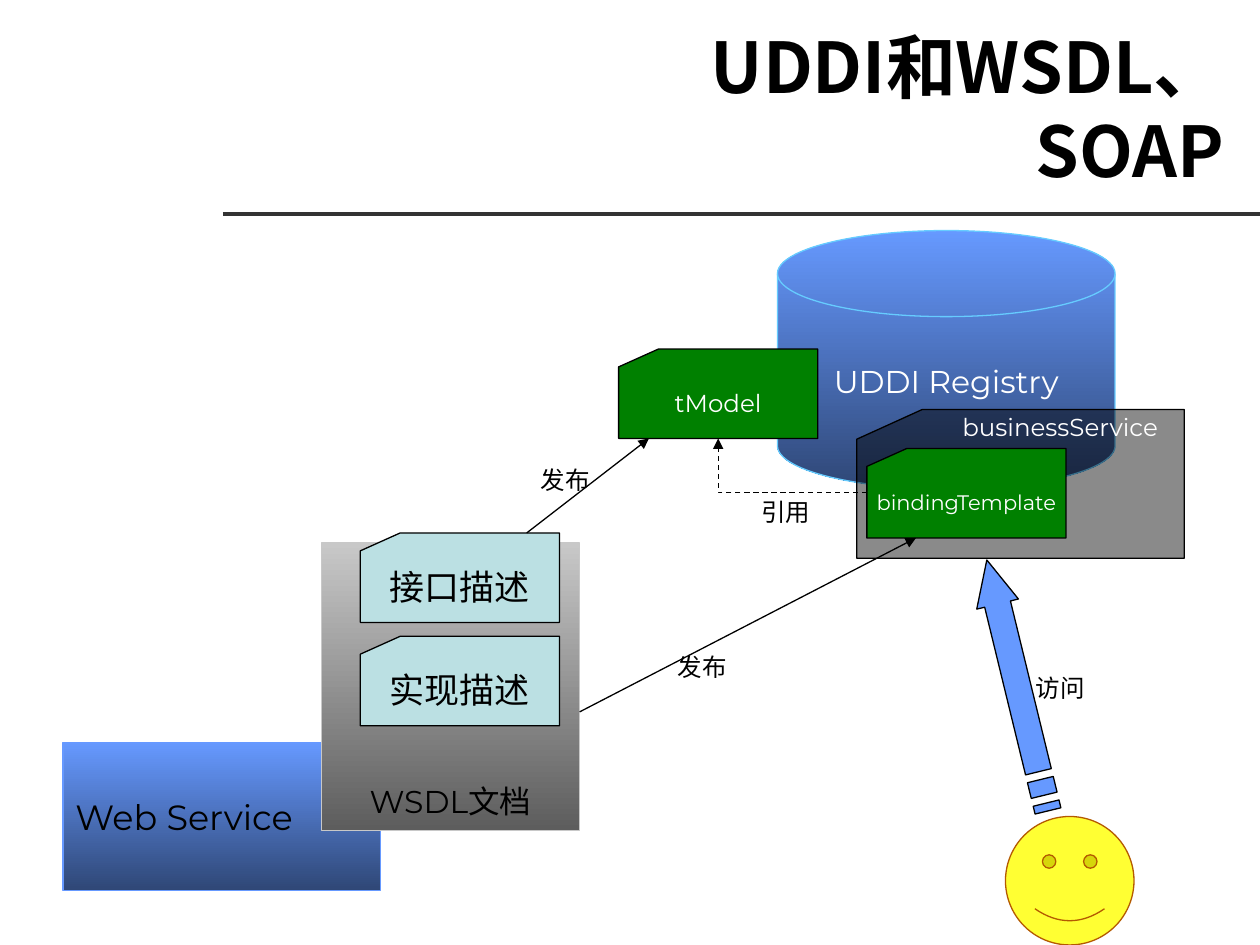
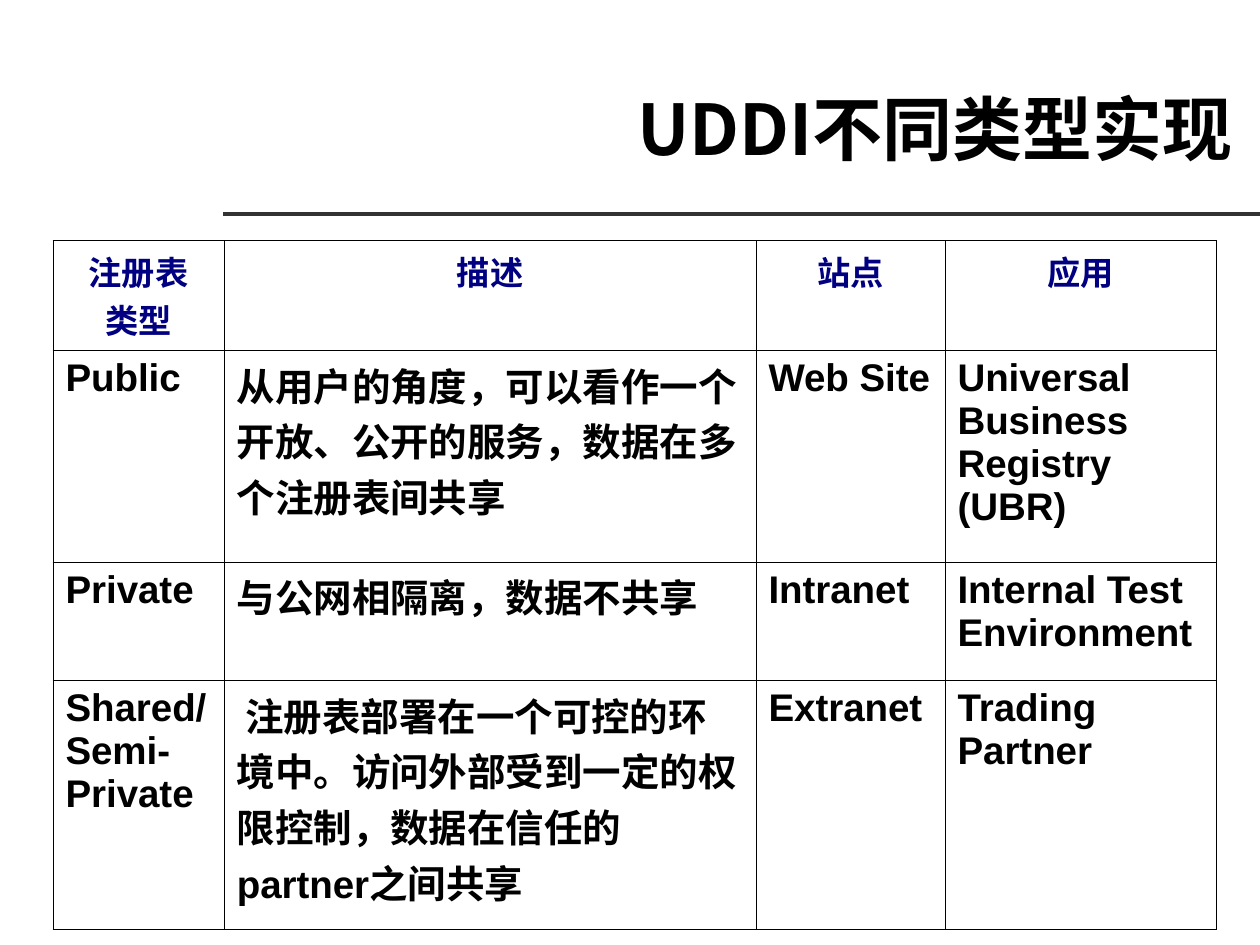
from lxml import etree
from pptx import Presentation
from pptx.dml.color import RGBColor
from pptx.enum.dml import MSO_LINE
from pptx.enum.shapes import MSO_CONNECTOR, MSO_SHAPE
from pptx.enum.text import MSO_ANCHOR, PP_ALIGN
from pptx.oxml.ns import qn
from pptx.util import Inches, Pt

RECT = MSO_SHAPE.RECTANGLE
CARD = MSO_SHAPE.FLOWCHART_CARD
DISK = MSO_SHAPE.FLOWCHART_MAGNETIC_DISK
SMILE = MSO_SHAPE.SMILEY_FACE
STRAIGHT, ELBOW = MSO_CONNECTOR.STRAIGHT, MSO_CONNECTOR.ELBOW
DASH = MSO_LINE.DASH
LEFT, MID, RIGHT = PP_ALIGN.LEFT, PP_ALIGN.CENTER, PP_ALIGN.RIGHT
CENTER, BOTTOM, TOP = MSO_ANCHOR.MIDDLE, MSO_ANCHOR.BOTTOM, MSO_ANCHOR.TOP

HEX = {
    "black": "000000", "white": "FFFFFF", "rule": "333333",
    "blue": "6699FF", "deep": "2F4776", "sky": "66CCFF",
    "silver": "C8C8C8", "grey": "5D5D5D", "ice": "BBE0E3",
    "green": "008000", "yellow": "FFFF00", "brown": "B45A00",
    "navy": "000081",
}
CJK = "Noto Sans CJK SC"
BODY = "Montserrat"
CARD_W, CARD_H = 1.58, 0.71

HEADS = ["注册表\n类型", "描述", "站点", "应用"]
ROWS = [
    ["Public", "从用户的角度，可以看作一个开放、公开的服务，数据在多个注册表间共享",
     "Web Site", "Universal Business\nRegistry (UBR)"],
    ["Private", "与公网相隔离，数据不共享", "Intranet", "Internal Test\nEnvironment"],
    ["Shared/\nSemi-Private",
     " 注册表部署在一个可控的环境中。访问外部受到一定的权限控制，数据在信任的partner之间共享",
     "Extranet", "Trading Partner"],
]


def rgb(name):
    """Return the named colour."""
    return RGBColor.from_string(HEX[name])


def put(item, **vals):
    """Set each given value on the item."""
    for key, val in vals.items():
        setattr(item, key, val)


def write(frame, text, size, color="black", face=BODY, bold=False, align=MID):
    """Write one paragraph per line of text in one style."""
    frame.text = text
    for para in frame.paragraphs:
        para.alignment = align
        for run in para.runs:
            put(run.font, size=Pt(size), name=face, bold=bold)
            run.font.color.rgb = rgb(color)
            east = etree.SubElement(run.font._element, qn("a:ea"))
            east.set("typeface", CJK)


def label(slide, box, text, size=14, pad=0, **style):
    """Add a text box centred on its height."""
    frame = slide.shapes.add_textbox(*map(Inches, box)).text_frame
    put(frame, word_wrap=True, vertical_anchor=CENTER,
        margin_left=Inches(pad), margin_right=Inches(pad))
    write(frame, text, size, **style)


def paint(shape, fill, line, alpha=None):
    """Give a shape a plain, clear or graded fill and a thin line."""
    shape.shadow.inherit = False
    if isinstance(fill, tuple):
        shape.fill.gradient()
        shape.fill.gradient_angle = 270
        for stop, name in zip(shape.fill.gradient_stops, fill):
            stop.color.rgb = rgb(name)
    else:
        shape.fill.solid()
        shape.fill.fore_color.rgb = rgb(fill)
    if alpha:
        tint = shape._element.spPr.find(".//" + qn("a:srgbClr"))
        etree.SubElement(tint, qn("a:alpha")).set("val", str(alpha * 1000))
    shape.line.color.rgb = rgb(line)
    shape.line.width = Pt(0.75)


def block(slide, kind, box, fill, line="black", text="", size=18,
          anchor=CENTER, foot=0.05, alpha=None, **style):
    """Add a filled preset shape with its text."""
    shape = slide.shapes.add_shape(kind, *map(Inches, box))
    paint(shape, fill, line, alpha)
    if text:
        put(shape.text_frame, word_wrap=False, vertical_anchor=anchor,
            margin_bottom=Inches(foot))
        write(shape.text_frame, text, size, **style)


def join(slide, start, end, kind=STRAIGHT, color="black", width=0.75, arrow=True):
    """Add a line, with an arrowhead at its end if asked."""
    link = slide.shapes.add_connector(kind, *map(Inches, start + end))
    link.line.color.rgb = rgb(color)
    link.line.width = Pt(width)
    props = link._element.spPr
    if arrow:
        tip = etree.SubElement(props.find(qn("a:ln")), qn("a:tailEnd"))
        tip.set("type", "triangle")
    etree.SubElement(props, qn("a:effectLst"))
    return link


def bend(slide, x, y, w, h):
    """Add a dashed arrow that runs left along the box and then up."""
    link = join(slide, (x, y), (x + w, y + h), ELBOW)
    link.line.dash_style = DASH
    props = link._element.spPr
    props.find(qn("a:xfrm")).set("rot", "10800000")
    props.find(qn("a:prstGeom")).set("prst", "bentConnector2")


def head(slide, box, text):
    """Add the rule and the title that every slide has."""
    join(slide, (1.77, 1.7), (10, 1.7), color="rule", width=2.25, arrow=False)
    label(slide, box, text, 40, pad=0.1, face=CJK, bold=True, align=RIGHT)


def docs(slide, x, y):
    """Draw the service and its document with two cards."""
    block(slide, RECT, (x, y + 1.58, 2.52, 1.18), ("blue", "deep"), "blue",
          "Web Service", 20, align=LEFT)
    block(slide, RECT, (x + 2.05, y, 2.05, 2.28), ("silver", "grey"), "silver",
          "WSDL文档", anchor=BOTTOM, foot=0.08)
    for row, text in enumerate(["接口描述", "实现描述"]):
        block(slide, CARD, (x + 2.36, y - 0.08 + row * 0.82, CARD_W, CARD_H),
              "ice", text=text, size=20)


def store(slide, x, y):
    """Draw the registry and its model card."""
    block(slide, DISK, (x + 1.26, y, 2.68, 2.05), ("blue", "deep"), "sky",
          "UDDI Registry", color="white")
    block(slide, CARD, (x, y + 0.94, CARD_W, CARD_H), "green",
          text="tModel", size=14, color="white")


def arrow(slide, x, y, w, h, turn):
    """Draw a striped arrow, turned about its centre."""
    unit, neck, low, high = w / 32, w - 0.36, 0.19 * h, 0.81 * h
    bars = [[(a * unit, low), (b * unit, low), (b * unit, high), (a * unit, high)]
            for a, b in ((0, 1), (2, 4))]
    body = [(5 * unit, low), (neck, low), (neck, 0), (w, h / 2),
            (neck, h), (neck, high), (5 * unit, high)]
    parts = [[(Inches(a), Inches(b)) for a, b in part] for part in [body] + bars]
    pen = slide.shapes.build_freeform(*parts[0][0])
    for num, part in enumerate(parts):
        if num:
            pen.move_to(*part[0])
        pen.add_line_segments(part[1:], close=True)
    shape = pen.convert_to_shape(Inches(x), Inches(y))
    paint(shape, "blue", "black")
    shape.rotation = turn


def user(slide, x, y):
    """Draw the user and the arrow that leads up to the service."""
    block(slide, SMILE, (x, y, 1.02, 1.02), "yellow", "brown", alpha=80)
    arrow(slide, x - 0.93, y - 1.21, 2.05, 0.34, 256.3)
    label(slide, (x + 0.16, y - 1.26, 0.55, 0.47), "访问")


def offer(slide, x, y):
    """Draw the clear service card with its template card."""
    block(slide, CARD, (x, y, 2.6, 1.18), "black", alpha=46)
    block(slide, CARD, (x + 0.08, y + 0.31, CARD_W, CARD_H), "green",
          text="bindingTemplate", size=12, color="white")
    label(slide, (x + 0.75, y - 0.06, 1.73, 0.39), "businessService", color="white")


def grid(slide, x, y, w, h):
    """Add the table of registry types."""
    table = slide.shapes.add_table(4, 4, *map(Inches, (x, y, w, h))).table
    put(table, first_row=False, horz_banding=False)
    for col, width in zip(table.columns, (1.36, 4.22, 1.5, 2.15)):
        col.width = Inches(width)
    for row, tall in zip(table.rows, (0.87, 1.68, 0.94, 1.98)):
        row.height = Inches(tall)
    for r, texts in enumerate([HEADS] + ROWS):
        size, color, align = (22, "black", LEFT) if r else (19, "navy", MID)
        for c, text in enumerate(texts):
            cell = table.cell(r, c)
            cell.vertical_anchor = TOP
            write(cell.text_frame, text, size, color, "Arial", True, align)
            cell.fill.background()
            edge(cell)


def edge(cell):
    """Give a cell thin black borders."""
    props = cell._tc.get_or_add_tcPr()
    for spot, side in enumerate("LRTB"):
        line = etree.Element(qn("a:ln" + side), w=str(Pt(0.45)))
        fill = etree.SubElement(line, qn("a:solidFill"))
        etree.SubElement(fill, qn("a:srgbClr")).set("val", HEX["black"])
        props.insert(spot, line)


def main():
    """Build both slides and save them."""
    deck = Presentation()
    put(deck, slide_width=Inches(10), slide_height=Inches(7.5))
    blank = deck.slide_layouts[6]

    flow = deck.slides.add_slide(blank)
    head(flow, (4.37, 0.5, 5.44, 0.7), "UDDI和WSDL、SOAP")
    docs(flow, 0.5, 4.31)
    store(flow, 4.91, 1.83)
    bend(flow, 5.7, 3.48, 1.18, 0.43)
    join(flow, (4.18, 4.23), (5.15, 3.48))
    for x, y, text in ((5.96, 3.83, "引用"), (4.21, 3.57, "发布"), (5.3, 5.06, "发布")):
        label(flow, (x, y, 0.55, 0.47), text)
    user(flow, 7.98, 6.48)
    offer(flow, 6.8, 3.25)
    join(flow, (4.6, 5.65), (7.27, 4.27))

    kinds = deck.slides.add_slide(blank)
    head(kinds, (2.01, 0.68, 7.87, 0.67), "UDDI不同类型实现")
    grid(kinds, 0.42, 1.91, 9.23, 5.47)
    deck.save("out.pptx")


if __name__ == "__main__":
    main()
